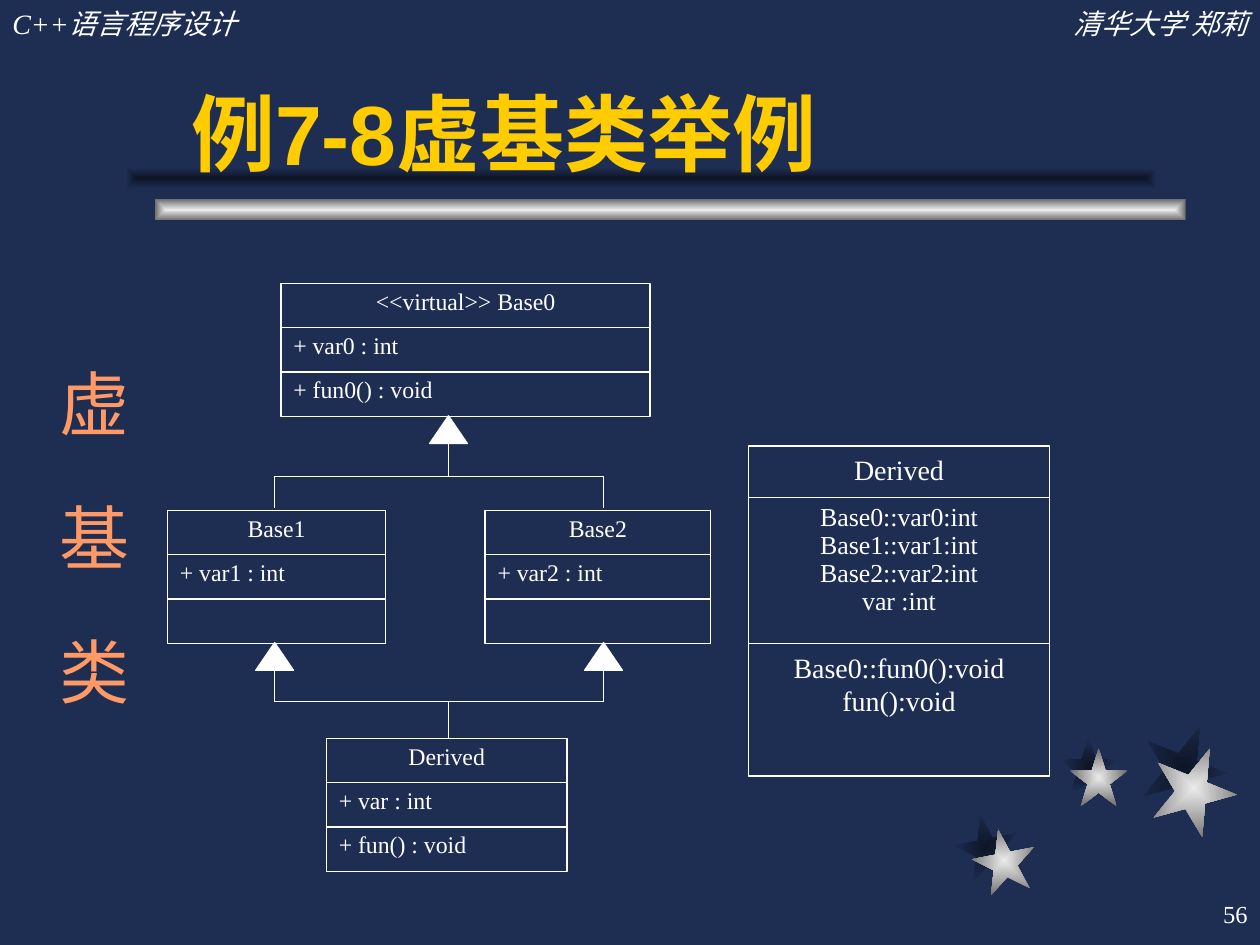
from dataclasses import dataclass

from lxml import etree
from pptx import Presentation
from pptx.dml.color import RGBColor
from pptx.enum.shapes import MSO_CONNECTOR, MSO_SHAPE
from pptx.enum.text import MSO_ANCHOR, PP_ALIGN
from pptx.oxml.ns import qn
from pptx.util import Inches, Pt

LEFT, CENTER, RIGHT = PP_ALIGN.LEFT, PP_ALIGN.CENTER, PP_ALIGN.RIGHT
TOP, MIDDLE, BOTTOM = MSO_ANCHOR.TOP, MSO_ANCHOR.MIDDLE, MSO_ANCHOR.BOTTOM
RECTANGLE, STAR = MSO_SHAPE.RECTANGLE, MSO_SHAPE.STAR_5_POINT
TRIANGLE, STRAIGHT = MSO_SHAPE.ISOSCELES_TRIANGLE, MSO_CONNECTOR.STRAIGHT

COLORS = {
    "background": "1E2E53",
    "shade": "0E1526",
    "silver": "EAEAEA",
    "gray": "6C6C6C",
    "white": "FFFFFF",
    "title": "FFCC00",
    "topic": "FF9966",
}
METAL = ("silver", "gray")
SHADOW = ("shade", "background")
SERIF, SANS = "Times New Roman", "Arial"
COLUMNS, ROWS = 100, 75
CELL = Inches(0.1)
LINE_WIDTH = Pt(0.75)
LEFT_BRANCH, STEM, RIGHT_BRANCH = 21.8, 35.6, 47.9


@dataclass
class Box:
    left: float
    top: float
    width: float
    height: float


@dataclass
class TextStyle:
    size: float
    color: str = "white"
    font: str = SERIF
    bold: bool = False
    italic: bool = False
    align: PP_ALIGN = LEFT
    line_spacing: float = 1.0


@dataclass
class Label:
    text: str
    box: Box
    style: TextStyle
    anchor: MSO_ANCHOR = TOP


@dataclass
class Compartment:
    lines: tuple[str, ...]
    height: float
    style: TextStyle


@dataclass
class ClassDiagram:
    left: float
    top: float
    width: float
    compartments: list[Compartment]


@dataclass
class Ornament:
    kind: MSO_SHAPE
    box: Box
    gradient: tuple[str, str]
    rotation: float = 0


@dataclass
class Branch:
    bus: float
    legs_end: float
    stem_end: float


HEADING = TextStyle(13.6, align=CENTER, line_spacing=0.9)
MEMBER = TextStyle(13.6, line_spacing=0.9)
LARGE = TextStyle(16, align=CENTER)
INHERITED = TextStyle(14.8, align=CENTER, line_spacing=0.9)


def simple_class(left: float, top: float, width: float, name: str, *members: str) -> ClassDiagram:
    compartments = [Compartment((name,), 3.52, HEADING)]
    compartments += [Compartment((member,), 3.52, MEMBER) for member in members]
    return ClassDiagram(left, top, width, compartments)


ORNAMENTS = [
    Ornament(STAR, Box(75.8, 64.7, 5, 5), SHADOW, 349),
    Ornament(STAR, Box(84.1, 58.5, 4.6, 4.6), SHADOW),
    Ornament(STAR, Box(90.6, 57.5, 6.7, 6.7), SHADOW, 22),
    Ornament(STAR, Box(77.2, 65.8, 5, 5), METAL, 349),
    Ornament(STAR, Box(84.9, 59.4, 4.6, 4.6), METAL),
    Ornament(STAR, Box(91.4, 59.2, 6.7, 6.7), METAL, 22),
    Ornament(RECTANGLE, Box(12.3, 15.8, 81.8, 1.7), METAL),
    Ornament(RECTANGLE, Box(10, 13.3, 81.8, 1.7), SHADOW),
]
LABELS = [
    Label("C++语言程序设计", Box(0, 0, 30.8, 3.7), TextStyle(16, italic=True)),
    Label("清华大学 郑莉", Box(69.2, 0, 30.8, 3.7), TextStyle(16, italic=True, align=RIGHT)),
    Label("56", Box(79.2, 70, 20.8, 5), TextStyle(14, align=RIGHT), MIDDLE),
    Label("例7-8虚基类举例", Box(14.2, 2.5, 78.3, 12.5), TextStyle(48, "title", SANS, bold=True), BOTTOM),
]
TOPIC = Label("虚基类", Box(2.5, 8.3, 8.6, 63.3), TextStyle(40, "topic"))
CLASSES = [
    ClassDiagram(59.4, 35.4, 23.9, [
        Compartment(("Derived",), 4.1, LARGE),
        Compartment(("Base0::var0:int", "Base1::var1:int", "Base2::var2:int", "var :int"), 11.6, INHERITED),
        Compartment(("Base0::fun0():void", "fun():void"), 10.5, LARGE),
    ]),
    simple_class(22.3, 22.5, 29.3, "<<virtual>> Base0", "+ var0 : int", "+ fun0() : void"),
    simple_class(13.3, 40.5, 17.3, "Base1", "+ var1 : int", ""),
    simple_class(38.5, 40.5, 17.9, "Base2", "+ var2 : int", ""),
    simple_class(25.9, 58.6, 19.1, "Derived", "+ var : int", "+ fun() : void"),
]
BRANCHES = [Branch(37.8, 40.3, 35.2), Branch(55.7, 53.2, 58.6)]
ARROW_TIPS = [(STEM, 33), (LEFT_BRANCH, 51), (RIGHT_BRANCH, 51)]


def color(name: str) -> RGBColor:
    return RGBColor.from_string(COLORS[name])


def grid(*counts: float) -> list[int]:
    return [round(CELL * count) for count in counts]


def place(box: Box) -> list[int]:
    return grid(box.left, box.top, box.width, box.height)


def write(text_frame, lines: tuple[str, ...], style: TextStyle, anchor: MSO_ANCHOR = TOP) -> None:
    text_frame.word_wrap = True
    text_frame.vertical_anchor = anchor
    for index, line in enumerate(lines):
        paragraph = text_frame.add_paragraph() if index else text_frame.paragraphs[0]
        paragraph.text = line
        paragraph.alignment = style.align
        paragraph.line_spacing = style.line_spacing
        font = paragraph.font
        font.name, font.size = style.font, Pt(style.size)
        font.bold, font.italic = style.bold, style.italic
        font.color.rgb = color(style.color)


def draw_label(slide, label: Label):
    shape = slide.shapes.add_textbox(*place(label.box))
    write(shape.text_frame, (label.text,), label.style, label.anchor)
    return shape


def draw_topic(slide, label: Label) -> None:
    shape = draw_label(slide, label)
    shape.text_frame._txBody.bodyPr.set("vert", "eaVert")
    paragraph = shape.text_frame.paragraphs[0]
    paragraph._p.get_or_add_pPr().set("marL", str(Inches(2)))
    paragraph.runs[0]._r.get_or_add_rPr().set("spc", "3650")


def draw_ornament(slide, ornament: Ornament) -> None:
    shape = slide.shapes.add_shape(ornament.kind, *place(ornament.box))
    shape.shadow.inherit = False
    shape.rotation = ornament.rotation
    shape.line.fill.background()
    shape.fill.gradient()
    for stop, name in zip(shape.fill.gradient_stops, ornament.gradient):
        stop.color.rgb = color(name)
    gradient = shape._element.spPr.find(qn("a:gradFill"))
    gradient.remove(gradient.find(qn("a:lin")))
    center = etree.SubElement(gradient, qn("a:path"), {"path": "rect"})
    etree.SubElement(center, qn("a:fillToRect"), dict.fromkeys("ltrb", "50000"))


def draw_class(slide, diagram: ClassDiagram) -> None:
    top = diagram.top
    for part in diagram.compartments:
        shape = slide.shapes.add_shape(RECTANGLE, *grid(diagram.left, top, diagram.width, part.height))
        shape.shadow.inherit = False
        shape.fill.background()
        shape.line.color.rgb, shape.line.width = color("white"), LINE_WIDTH
        write(shape.text_frame, part.lines, part.style)
        top += part.height


def draw_arrow_tip(slide, middle: float, top: float) -> None:
    shape = slide.shapes.add_shape(TRIANGLE, *grid(middle - 1.5, top, 3, 2.2))
    shape.shadow.inherit = False
    shape.fill.solid()
    shape.fill.fore_color.rgb = shape.line.color.rgb = color("white")
    shape.line.width = LINE_WIDTH


def draw_branch(slide, branch: Branch) -> None:
    for ends in (
        (LEFT_BRANCH, branch.bus, RIGHT_BRANCH, branch.bus),
        (LEFT_BRANCH, branch.bus, LEFT_BRANCH, branch.legs_end),
        (RIGHT_BRANCH, branch.bus, RIGHT_BRANCH, branch.legs_end),
        (STEM, branch.bus, STEM, branch.stem_end),
    ):
        connector = slide.shapes.add_connector(STRAIGHT, *grid(*ends))
        connector.line.color.rgb, connector.line.width = color("white"), LINE_WIDTH
        etree.SubElement(connector._element.spPr, qn("a:effectLst"))


def main() -> None:
    presentation = Presentation()
    presentation.slide_width, presentation.slide_height = grid(COLUMNS, ROWS)
    slide = presentation.slides.add_slide(presentation.slide_layouts[6])
    slide.background.fill.solid()
    slide.background.fill.fore_color.rgb = color("background")
    for ornament in ORNAMENTS:
        draw_ornament(slide, ornament)
    for label in LABELS:
        draw_label(slide, label)
    draw_topic(slide, TOPIC)
    for diagram in CLASSES:
        draw_class(slide, diagram)
    for tip in ARROW_TIPS:
        draw_arrow_tip(slide, *tip)
    for branch in BRANCHES:
        draw_branch(slide, branch)
    presentation.save("out.pptx")


if __name__ == "__main__":
    main()
